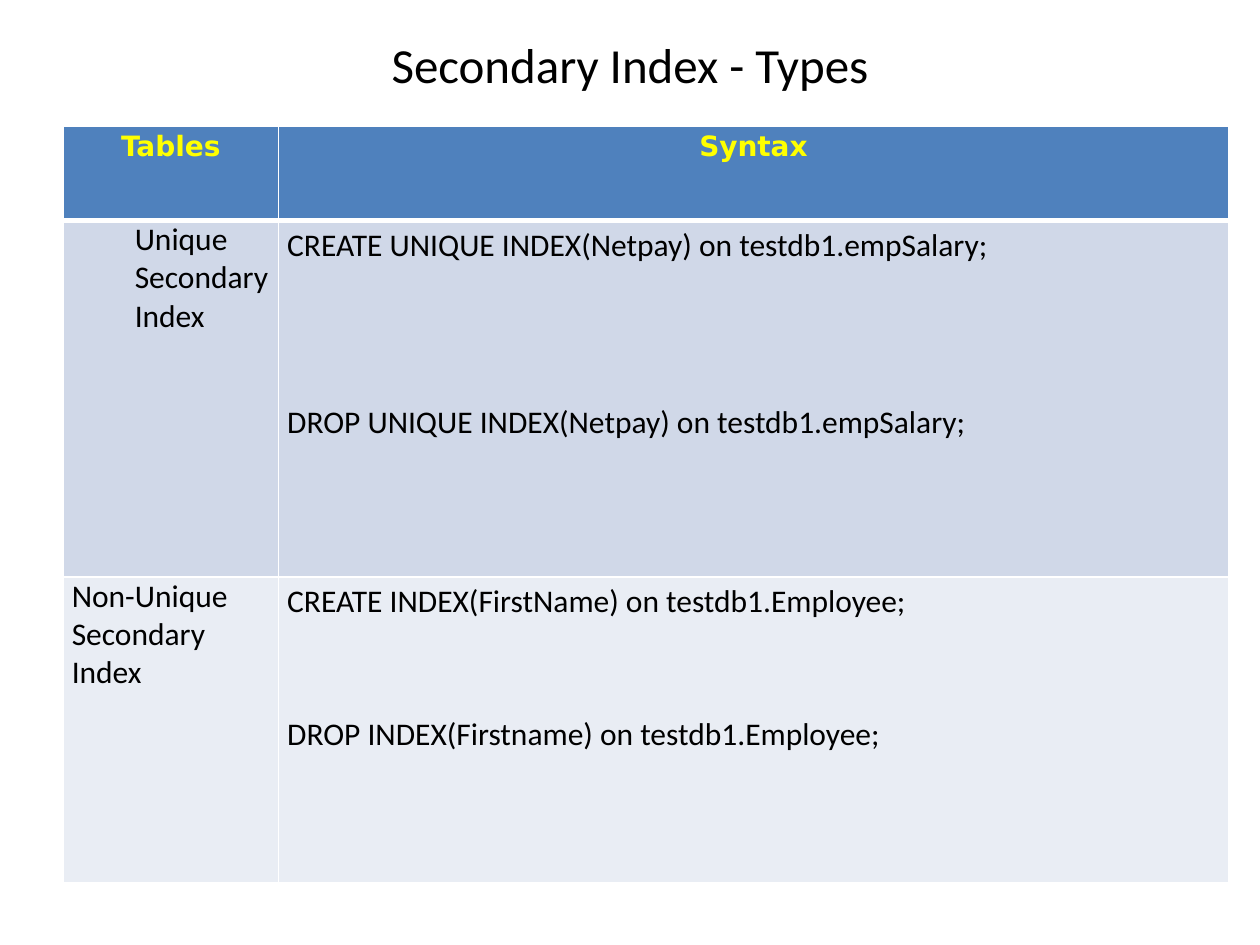
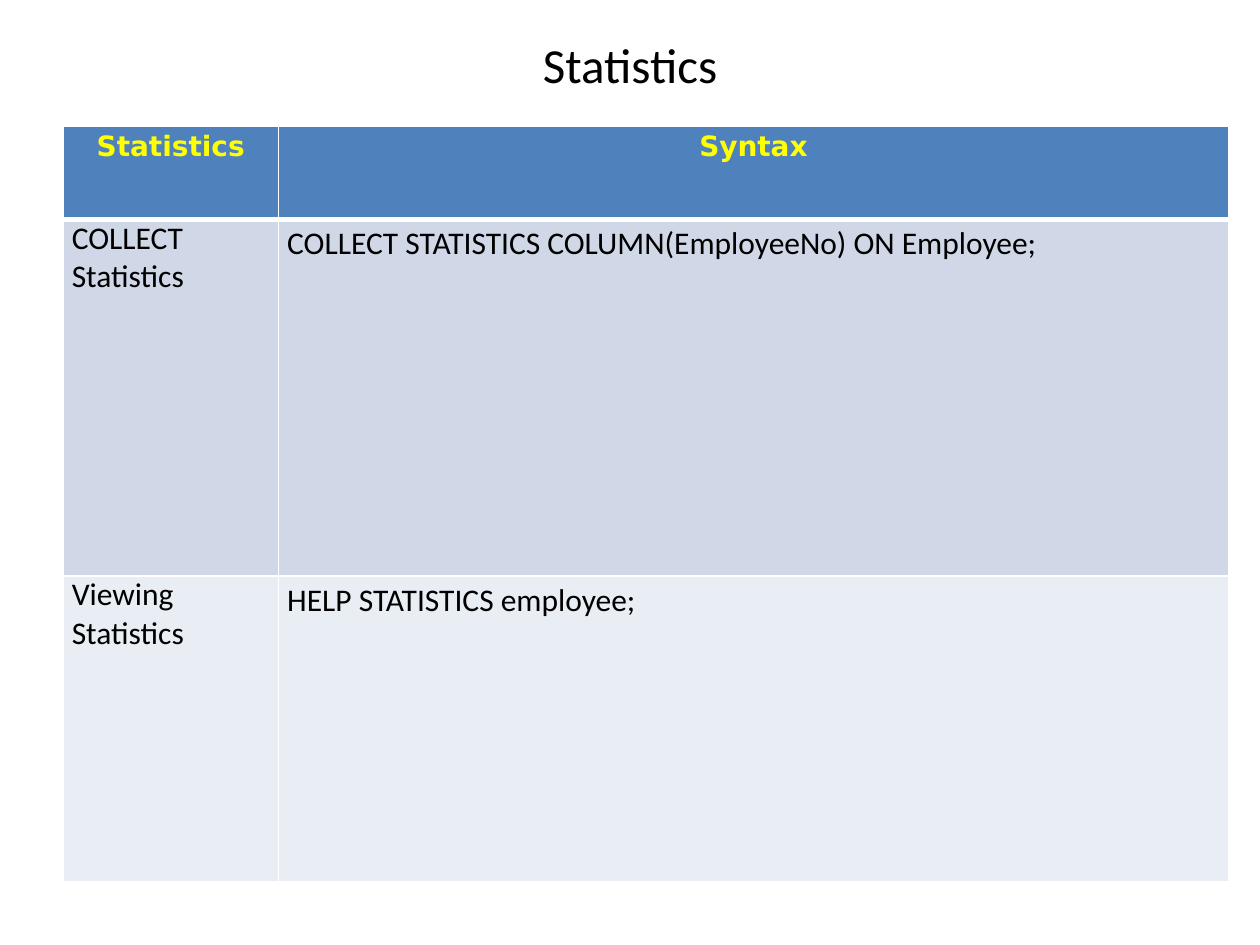
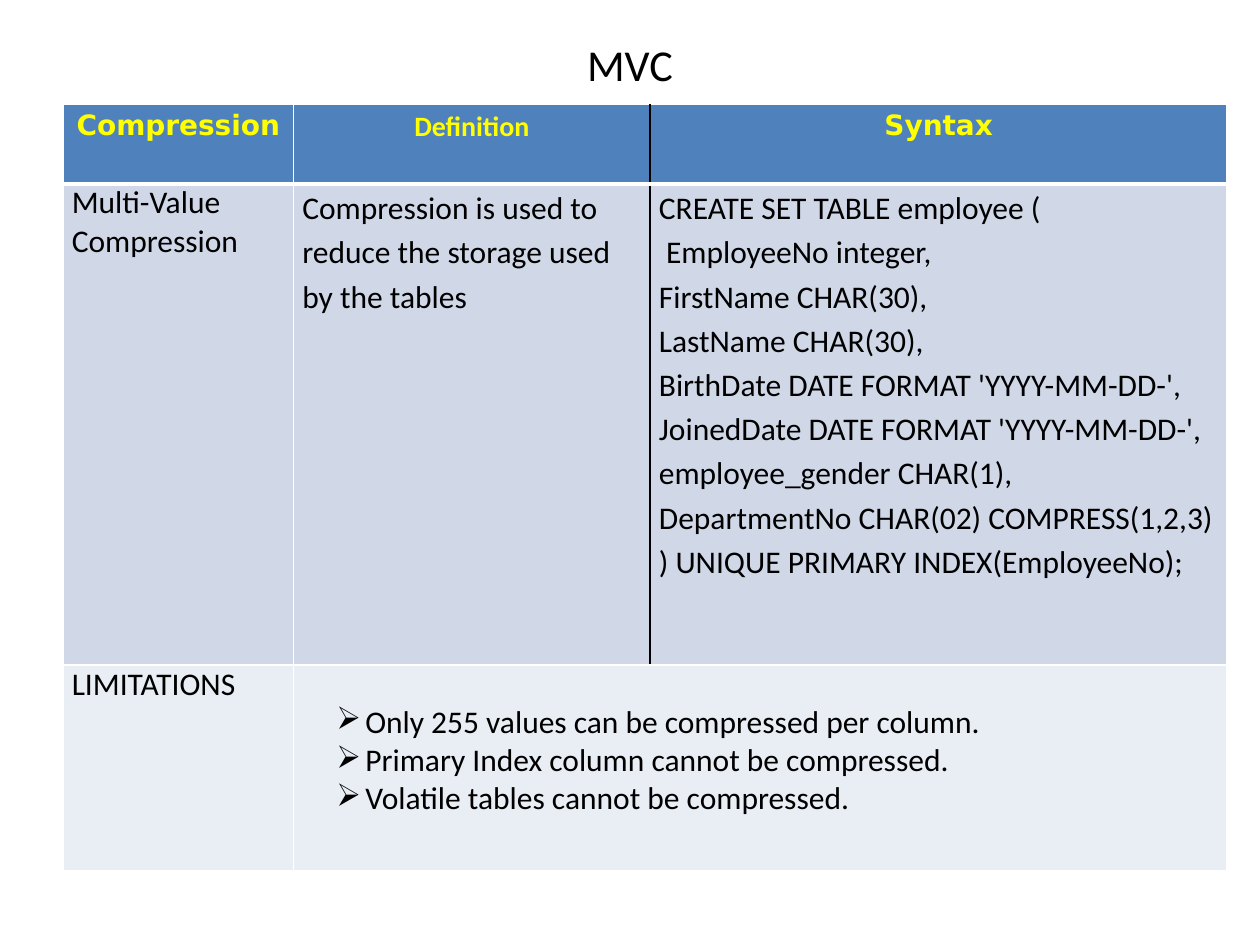
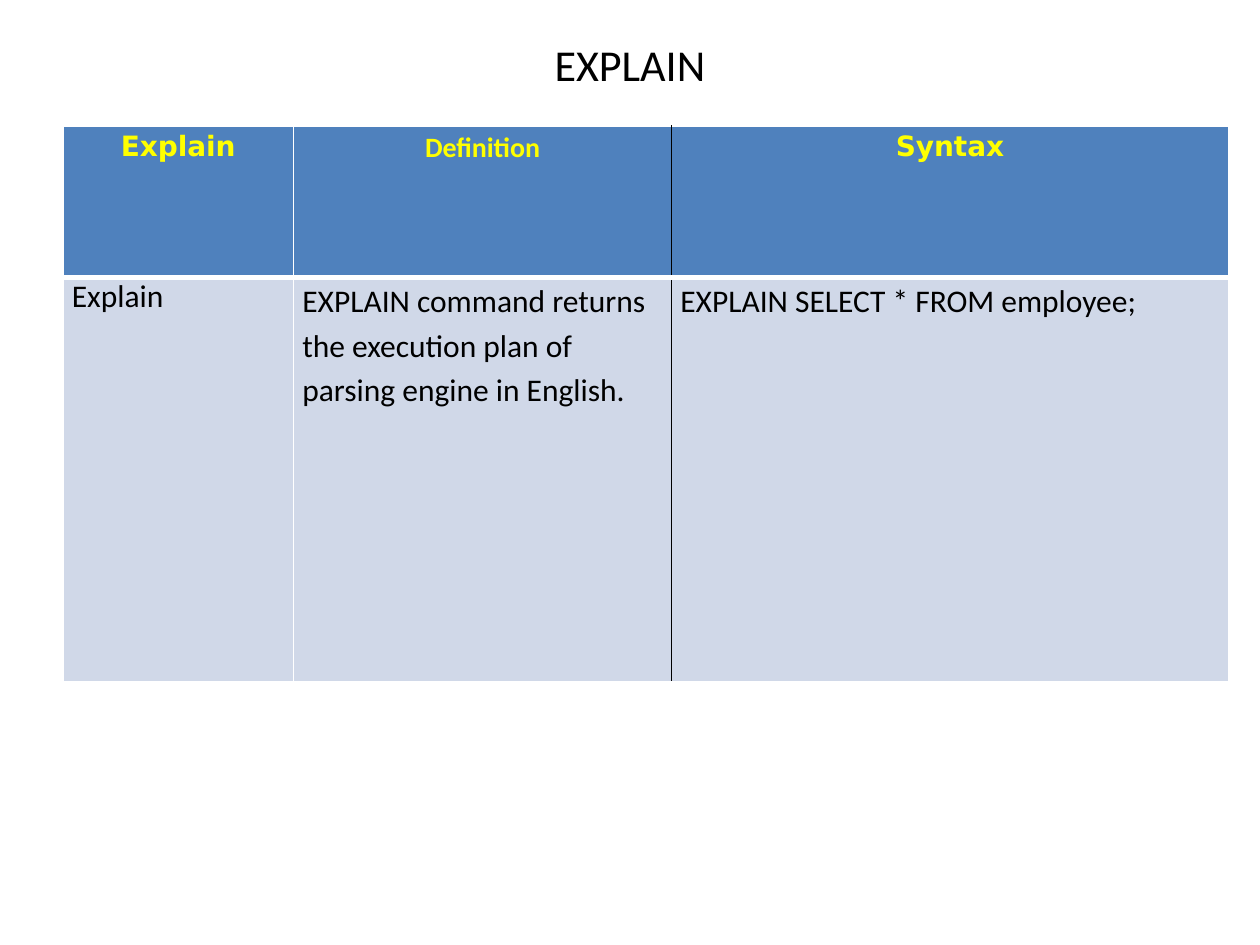
from dataclasses import dataclass

from lxml import etree
from pptx import Presentation
from pptx import util as u
from pptx.dml.color import RGBColor
from pptx.enum import text
from pptx.oxml import ns


# Colours, fonts and type sizes
@dataclass(frozen=True)
class Theme:
    ink: str = "000000"
    header_ink: str = "FFFF00"
    header_fill: str = "4F81BD"
    bands: tuple = ("D0D8E8", "E9EDF4")
    rule: str = "FFFFFF"
    divider: str = "000000"
    font: str = "Calibri"
    header_font: str = "DejaVu Sans"
    title_size: float = 28
    small_title_size: float = 25.2
    header_size: float = 16
    body_size: float = 18
    code_spacing: float = 1.15


@dataclass(frozen=True)
class Entry:
    """Cell text: one item per paragraph, with its layout."""
    lines: tuple
    gap: float = 0        # points between paragraphs
    indent: float = 0     # inches
    hanging: float = 0    # inches
    bullet: str = ""
    top: float = 0        # inches above the first line


class Builder:
    def __init__(self, theme):
        self.theme = theme
        self.deck = Presentation()
        self.deck.slide_width, self.deck.slide_height = u.Inches(10), u.Inches(7.5)
        self.page = None

    # Text helpers
    def add_span(self, para, words, color, **formats):
        span = para.add_run()
        span.text = words
        for name, value in formats.items():
            setattr(span.font, name, value)
        span.font.color.rgb = RGBColor.from_string(color)

    def title(self, words, size):
        self.page = self.deck.slides.add_slide(self.deck.slide_layouts[5])
        box = self.page.shapes.title
        place = {"left": 0.5, "top": 0.17, "width": 9, "height": 0.67}
        for name, value in place.items():
            setattr(box, name, u.Inches(value))
        box.text_frame.vertical_anchor = text.MSO_ANCHOR.MIDDLE
        para = box.text_frame.paragraphs[0]
        para.alignment = text.PP_ALIGN.CENTER
        self.add_span(para, words, self.theme.ink, name=self.theme.font, size=u.Pt(size))

    # Cell parts
    def borders(self, cell, is_header, divider_side):
        widths = {"L": 1, "R": 1, "T": 1, "B": 3 if is_header else 1}
        properties = cell._tc.get_or_add_tcPr()
        for side, width in widths.items():
            color = self.theme.divider if side == divider_side else self.theme.rule
            line = etree.SubElement(properties, ns.qn(f"a:ln{side}"), w=str(u.Pt(width)))
            fill = etree.SubElement(line, ns.qn("a:solidFill"))
            etree.SubElement(fill, ns.qn("a:srgbClr"), val=color)

    def fill(self, cell, color):
        cell.fill.solid()
        cell.fill.fore_color.rgb = RGBColor.from_string(color)

    def margins(self, cell, top=0):
        sides = {"left": 0.07, "right": 0.07, "top": top, "bottom": 0}
        for side, value in sides.items():
            setattr(cell, f"margin_{side}", u.Inches(value))

    def header(self, cell, words):
        theme = self.theme
        para = cell.text_frame.paragraphs[0]
        para.alignment = text.PP_ALIGN.CENTER
        para.line_spacing = theme.code_spacing
        font = theme.font if words == "Definition" else theme.header_font
        self.add_span(para, words, theme.header_ink, name=font,
                      size=u.Pt(theme.header_size), bold=True)

    def body(self, cell, entry, spacing):
        theme = self.theme
        for number, words in enumerate(entry.lines):
            frame = cell.text_frame
            para = frame.add_paragraph() if number else frame.paragraphs[0]
            if spacing:
                para.line_spacing = spacing
            if number and entry.gap:
                para.space_before = u.Pt(entry.gap)
            if entry.indent:
                para.level = 1
                properties = para._p.get_or_add_pPr()
                properties.set("marL", str(u.Inches(entry.indent)))
                properties.set("indent", str(-u.Inches(entry.hanging)))
                if entry.bullet:
                    etree.SubElement(properties, ns.qn("a:buChar"), char=entry.bullet)
            self.add_span(para, words, theme.ink, name=theme.font,
                          size=u.Pt(theme.body_size), bold=False)

    # Table: a header row, then banded rows; a short row spans to the right edge
    def table(self, top, widths, heights, rows):
        frame = self.page.shapes.add_table(
            len(rows), len(widths), u.Inches(0.5), u.Inches(top),
            u.Inches(sum(widths)), u.Inches(sum(heights)))
        grid = frame.table
        for column, width in zip(grid.columns, widths):
            column.width = u.Inches(width)
        for row, height in zip(grid.rows, heights):
            row.height = u.Inches(height)

        last = len(widths) - 1
        for r, entries in enumerate(rows):
            is_full = len(entries) == len(widths)
            if not is_full:
                grid.cell(r, len(entries) - 1).merge(grid.cell(r, last))
            color = self.theme.bands[(r - 1) % 2] if r else self.theme.header_fill
            for c in range(len(widths)):
                cell = grid.cell(r, c)
                # A dark divider parts definition and syntax
                divider = {1: "R", 2: "L"}.get(c) if last == 2 and is_full else None
                self.borders(cell, r == 0, divider)
                self.fill(cell, color)
                self.margins(cell)
            for c, words in enumerate(entries):
                cell = grid.cell(r, c)
                if r == 0:
                    self.header(cell, words)
                    continue
                entry = words if isinstance(words, Entry) else Entry((words,))
                self.margins(cell, entry.top)
                self.body(cell, entry, self.theme.code_spacing if c and is_full else None)


def main():
    theme = Theme()
    builder = Builder(theme)
    two_columns = (1.71, 7.54)

    # Secondary index
    builder.title("Secondary Index - Types", theme.title_size)
    builder.table(1, two_columns, (0.75, 2.83, 2.43), [
        ("Tables", "Syntax"),
        (Entry(("Unique Secondary Index",), indent=0.5),
         Entry(("CREATE UNIQUE INDEX(Netpay) on testdb1.empSalary;",
                "DROP UNIQUE INDEX(Netpay) on testdb1.empSalary;"), gap=76)),
        ("Non-Unique Secondary Index",
         Entry(("CREATE INDEX(FirstName) on testdb1.Employee;",
                "DROP INDEX(Firstname) on testdb1.Employee;"), gap=50.6)),
    ])

    # Statistics
    builder.title("Statistics", theme.title_size)
    builder.table(1, two_columns, (0.74, 2.83, 2.43), [
        ("Statistics", "Syntax"),
        ("COLLECT Statistics", "COLLECT STATISTICS COLUMN(EmployeeNo) ON Employee;"),
        ("Viewing Statistics", "HELP STATISTICS employee;"),
    ])

    # Compression
    builder.title("MVC", theme.small_title_size)
    builder.table(0.83, (1.83, 2.83, 4.58), (0.63, 3.82, 1.63), [
        ("Compression", "Definition", "Syntax"),
        ("Multi-Value Compression",
         "Compression is used to reduce the storage used by the tables",
         Entry(("CREATE SET TABLE employee (",
                " EmployeeNo integer,",
                "FirstName CHAR(30),",
                "LastName CHAR(30),",
                "BirthDate DATE FORMAT 'YYYY-MM-DD-', JoinedDate DATE FORMAT 'YYYY-MM-DD-',",
                "employee_gender CHAR(1),",
                "DepartmentNo CHAR(02) COMPRESS(1,2,3)",
                ") UNIQUE PRIMARY INDEX(EmployeeNo);"))),
        ("LIMITATIONS",
         Entry(("Only 255 values can be compressed per column.",
                "Primary Index column cannot be compressed.",
                "Volatile tables cannot be compressed."),
               indent=0.5, hanging=0.23, bullet="➢", top=0.3)),
    ])

    # Explain
    builder.title("EXPLAIN", theme.small_title_size)
    builder.table(1, (1.83, 3, 4.42), (1.2, 3.21), [
        ("Explain", "Definition", "Syntax"),
        ("Explain",
         "EXPLAIN command returns the execution plan of parsing engine in English.",
         "EXPLAIN SELECT * FROM employee;"),
    ])

    builder.deck.save("out.pptx")


if __name__ == "__main__":
    main()
